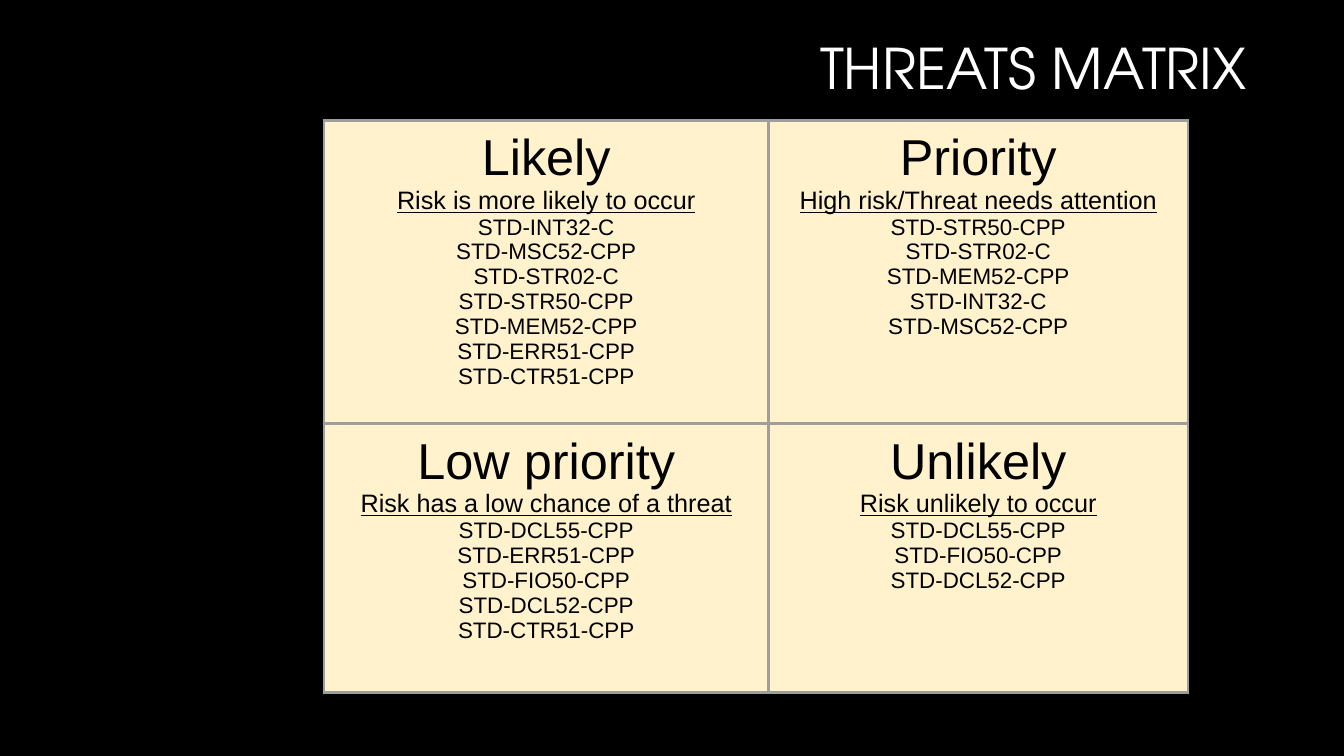
from lxml import etree
from pptx import Presentation
from pptx import util as u
from pptx.dml.color import RGBColor
from pptx.enum import text
from pptx.oxml import ns

COLORS = {"background": "000000", "title": "FFFFFF", "quadrant": "FFF2CC",
          "ink": "000000", "border": "9E9E9E"}
SLIDE_W, SLIDE_H = u.Inches(13.33), u.Inches(7.5)
COLUMNS, ROWS = (4.41, 4.16), (3.01, 2.67)  # matrix grid, inches

# Heading, meaning and rules of each quadrant, row by row
MATRIX = [
    [("Likely", "Risk is more likely to occur",
      ["STD-INT32-C", "STD-MSC52-CPP", "STD-STR02-C", "STD-STR50-CPP",
       "STD-MEM52-CPP", "STD-ERR51-CPP", "STD-CTR51-CPP"]),
     ("Priority", "High risk/Threat needs attention",
      ["STD-STR50-CPP", "STD-STR02-C", "STD-MEM52-CPP", "STD-INT32-C",
       "STD-MSC52-CPP"])],
    [("Low priority", "Risk has a low chance of a threat",
      ["STD-DCL55-CPP", "STD-ERR51-CPP", "STD-FIO50-CPP", "STD-DCL52-CPP",
       "STD-CTR51-CPP"]),
     ("Unlikely", "Risk unlikely to occur",
      ["STD-DCL55-CPP", "STD-FIO50-CPP", "STD-DCL52-CPP"])],
]


def rgb(name):
    return RGBColor.from_string(COLORS[name])


def write(paragraph, words, size, color="ink", font="Arial",
          align=text.PP_ALIGN.CENTER, underline=False, spacing=1.0):
    paragraph.alignment = align
    paragraph.line_spacing = spacing
    run = paragraph.add_run()
    run.text = words
    run.font.size = u.Pt(size)
    run.font.name = font
    run.font.bold = False
    run.font.underline = underline
    run.font.color.rgb = rgb(color)


def add_title(slide, words):
    title = slide.shapes.title
    title.left, title.top = int(SLIDE_W * 0.228), 0
    title.width, title.height = int(SLIDE_W * 0.707), int(SLIDE_H * 0.188)
    frame = title.text_frame
    frame.word_wrap = True
    frame.auto_size = text.MSO_AUTO_SIZE.NONE
    frame.vertical_anchor = text.MSO_ANCHOR.MIDDLE
    write(frame.paragraphs[0], words, 40, color="title",
          font="TeX Gyre Adventor", align=text.PP_ALIGN.RIGHT, spacing=0.9)


def add_borders(cell):
    properties = cell._tc.get_or_add_tcPr()
    for side in ("lnL", "lnR", "lnT", "lnB"):
        line = etree.SubElement(properties, ns.qn(f"a:{side}"), w=str(u.Pt(2.25)))
        fill = etree.SubElement(line, ns.qn("a:solidFill"))
        etree.SubElement(fill, ns.qn("a:srgbClr"), val=COLORS["border"])


def fill_quadrant(cell, heading, meaning, rules):
    add_borders(cell)
    cell.fill.solid()
    cell.fill.fore_color.rgb = rgb("quadrant")
    cell.margin_left = cell.margin_right = u.Inches(0.1)
    cell.margin_top = cell.margin_bottom = u.Inches(0.1)
    frame = cell.text_frame
    write(frame.paragraphs[0], heading, 36)
    write(frame.add_paragraph(), meaning, 18, underline=True)
    for rule in rules:
        write(frame.add_paragraph(), rule, 16)


def add_matrix(slide):
    matrix = slide.shapes.add_table(
        len(ROWS), len(COLUMNS), int(SLIDE_W * 0.241), int(SLIDE_H * 0.159),
        u.Inches(sum(COLUMNS)), u.Inches(sum(ROWS))).table
    matrix.first_row = matrix.horz_banding = False
    for column, width in zip(matrix.columns, COLUMNS):
        column.width = u.Inches(width)
    for row, height, quadrants in zip(matrix.rows, ROWS, MATRIX):
        row.height = u.Inches(height)
        for cell, quadrant in zip(row.cells, quadrants):
            fill_quadrant(cell, *quadrant)


def main():
    deck = Presentation()
    deck.slide_width, deck.slide_height = SLIDE_W, SLIDE_H
    slide = deck.slides.add_slide(deck.slide_layouts[5])  # title only
    slide.background.fill.solid()
    slide.background.fill.fore_color.rgb = rgb("background")
    add_title(slide, "THREATS MATRIX")
    add_matrix(slide)
    deck.save("out.pptx")


if __name__ == "__main__":
    main()
